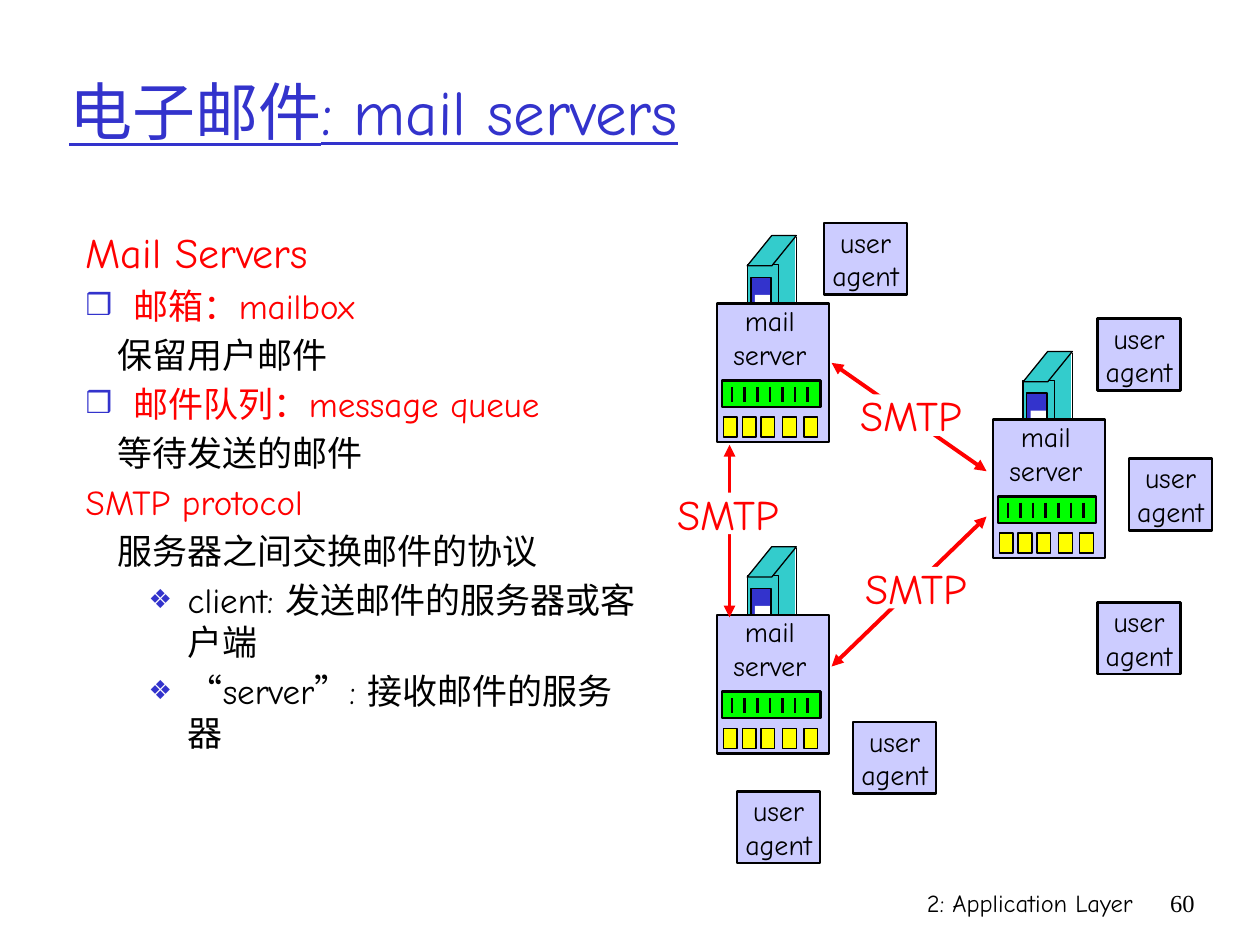
import pptx
import pptx.util
from pptx.dml.color import RGBColor
from pptx.enum.shapes import MSO_CONNECTOR, MSO_SHAPE
from pptx.enum.text import MSO_ANCHOR, MSO_AUTO_SIZE, PP_ALIGN
from pptx.oxml.ns import qn
from lxml import etree

Inches, Pt = pptx.util.Inches, pptx.util.Pt

FONT = "Comic Neue"
BLACK, WHITE, RED, BLUE = "000000", "FFFFFF", "FF0000", "3333CC"
LAVENDER, TEAL, GREEN, YELLOW = "CCCCFF", "33CCCC", "00FF00", "FFFF00"

TITLE = "电子邮件: mail servers"
# kind of paragraph: left margin, first-line indent, bullet, bullet size in %
STYLES = {
    "heading": (0.38, -0.38, None, None),
    "item": (0.38, -0.38, "❒", 85),
    "detail": (0.25, 0, None, None),
    "role": (0.81, -0.31, "❖", 75),
}
BODY = [
    ("heading", "Mail Servers", 24, RED),
    ("item", "邮箱：mailbox", 20, RED),
    ("detail", "保留用户邮件", 20, BLACK),
    ("item", "邮件队列：message queue", 20, RED),
    ("detail", "等待发送的邮件", 20, BLACK),
    ("heading", "SMTP protocol", 20, RED),
    ("detail", "服务器之间交换邮件的协议", 20, BLACK),
    ("role", "client: 发送邮件的服务器或客户端", 20, BLACK),
    ("role", "“server”: 接收邮件的服务器", 20, BLACK),
]
FOOTER = [
    ("2: Application Layer", 5.92, 3.17, FONT),
    ("60", 9.08, 0.5, "Times New Roman"),
]
SERVERS = [(7.88, 3.33), (5.69, 4.88), (5.69, 2.41)]
AGENTS = [(8.71, 2.53), (8.96, 3.64), (8.71, 4.78), (6.77, 5.73), (5.85, 6.28), (6.54, 1.77)]
EXCHANGES = [
    ((6.6, 2.88), (7.83, 3.74)),
    ((6.6, 5.29), (7.83, 4.1)),
    ((5.79, 4.9), (5.79, 3.53)),
]
PROTOCOL_LABELS = [(6.8, 4.5), (6.76, 3.13), (5.31, 3.91)]
MAILBOX_OFFSETS = [0.05, 0.2, 0.35, 0.52, 0.69]


def rgb(hex_color):
    return RGBColor.from_string(hex_color)


def add_run(paragraph, text, size, color, font=FONT):
    run = paragraph.add_run()
    run.text = text
    run.font.size = Pt(size)
    run.font.name = font
    run.font.color.rgb = rgb(color)
    return run


def add_block(shapes, box, fill, line_width=None, kind=MSO_SHAPE.RECTANGLE):
    block = shapes.add_shape(kind, *map(Inches, box))
    block.shadow.inherit = False
    block.fill.solid()
    block.fill.fore_color.rgb = rgb(fill)
    if line_width:
        block.line.color.rgb = rgb(BLACK)
        block.line.width = Pt(line_width)
    else:
        block.line.fill.background()
    return block


def label(block, lines, size, color, anchor=MSO_ANCHOR.MIDDLE):
    frame = block.text_frame
    frame.margin_left = frame.margin_right = frame.margin_top = frame.margin_bottom = 0
    frame.word_wrap = False
    frame.vertical_anchor = anchor
    for i, line in enumerate(lines):
        paragraph = frame.add_paragraph() if i else frame.paragraphs[0]
        paragraph.alignment = PP_ALIGN.CENTER
        add_run(paragraph, line, size, color)


def add_line(shapes, start, end, color, width, arrows=False):
    connector = shapes.add_connector(MSO_CONNECTOR.STRAIGHT, *map(Inches, start + end))
    connector.line.color.rgb = rgb(color)
    connector.line.width = Pt(width)
    if arrows:
        line = connector.line._get_or_add_ln()
        for tag in ("a:headEnd", "a:tailEnd"):
            etree.SubElement(line, qn(tag), type="triangle")
    etree.SubElement(connector._element.spPr, qn("a:effectLst"))


def set_bullet(paragraph, left, indent, bullet, percent):
    properties = paragraph._p.get_or_add_pPr()
    properties.set("marL", str(Inches(left)))
    properties.set("indent", str(Inches(indent)))
    if bullet:
        color = etree.SubElement(properties, qn("a:buClr"))
        etree.SubElement(color, qn("a:srgbClr"), val=BLUE)
        etree.SubElement(properties, qn("a:buSzPct"), val=str(percent * 1000))
        etree.SubElement(properties, qn("a:buChar"), char=bullet)
    else:
        etree.SubElement(properties, qn("a:buNone"))


def place(placeholder, left, top, width, height):
    placeholder.left, placeholder.top = Inches(left), Inches(top)
    placeholder.width, placeholder.height = Inches(width), Inches(height)
    placeholder.text_frame.auto_size = MSO_AUTO_SIZE.NONE


def add_server(slide, x, y):
    """Draw a mail server whose front panel has its top left corner at x, y."""
    parts = slide.shapes.add_group_shape().shapes
    # Computer tower behind the panel
    add_block(parts, (x + 0.44, y - 0.54, 0.18, 0.78), TEAL)
    add_block(parts, (x + 0.24, y - 0.31, 0.25, 0.78), TEAL, 0.75)
    tower_top = add_block(parts, (x + 0.24, y - 0.54, 0.39, 0.24), TEAL, 0.75,
                          MSO_SHAPE.PARALLELOGRAM)
    tower_top.adjustments[0] = 0.81
    add_line(parts, (x + 0.63, y - 0.53), (x + 0.63, y + 0.24), BLACK, 0.75)
    add_block(parts, (x + 0.27, y - 0.21, 0.16, 0.45), BLUE, 0.75)
    add_block(parts, (x + 0.3, y - 0.07, 0.12, 0.16), WHITE)
    # Front panel with message queue and mailboxes
    panel = add_block(parts, (x, y, 0.89, 1.1), LAVENDER, 1.5)
    label(panel, ["mail", "server"], 16, BLACK, MSO_ANCHOR.TOP)
    panel.text_frame.margin_right = Inches(0.05)
    add_block(parts, (x + 0.04, y + 0.61, 0.78, 0.21), GREEN, 1.5)
    for i in range(7):
        message_x = x + 0.12 + 0.1 * i
        add_line(parts, (message_x, y + 0.66), (message_x, y + 0.78), BLACK, 1.5)
    for offset in MAILBOX_OFFSETS:
        add_block(parts, (x + offset, y + 0.9, 0.11, 0.16), YELLOW, 0.75)


def main():
    deck = pptx.Presentation()
    deck.slide_width, deck.slide_height = Inches(10), Inches(7.5)
    slide = deck.slides.add_slide(deck.slide_layouts[1])

    title = slide.shapes.title
    place(title, 0.45, 0.25, 8.5, 1.25)
    title.text_frame.vertical_anchor = MSO_ANCHOR.MIDDLE
    heading = title.text_frame.paragraphs[0]
    heading.alignment = PP_ALIGN.LEFT
    add_run(heading, TITLE, 36, BLUE).font.underline = True

    body = slide.placeholders[1]
    place(body, 0.58, 1.75, 4.58, 5.08)
    for i, (style, text, size, color) in enumerate(BODY):
        paragraph = body.text_frame.add_paragraph() if i else body.text_frame.paragraphs[0]
        if style == "role":
            paragraph.level = 1
        set_bullet(paragraph, *STYLES[style])
        add_run(paragraph, text, size, color)
    body.text_frame.paragraphs[0].space_before = Pt(0)

    for text, left, width, font in FOOTER:
        footer = slide.shapes.add_textbox(Inches(left), Inches(7), Inches(width), Inches(0.5))
        footer.text_frame.word_wrap = True
        paragraph = footer.text_frame.paragraphs[0]
        paragraph.alignment = PP_ALIGN.RIGHT
        add_run(paragraph, text, 14, BLACK, font)

    for x, y in SERVERS:
        add_server(slide, x, y)
    for x, y in AGENTS:
        agent = add_block(slide.shapes, (x, y, 0.66, 0.57), LAVENDER, 1.5)
        label(agent, ["user", "agent"], 16, BLACK)
    for start, end in EXCHANGES:
        add_line(slide.shapes, start, end, RED, 2.25, arrows=True)
    for x, y in PROTOCOL_LABELS:
        protocol = add_block(slide.shapes, (x, y, 0.94, 0.33), WHITE)
        label(protocol, ["SMTP"], 24, RED)

    deck.save("out.pptx")


if __name__ == "__main__":
    main()
